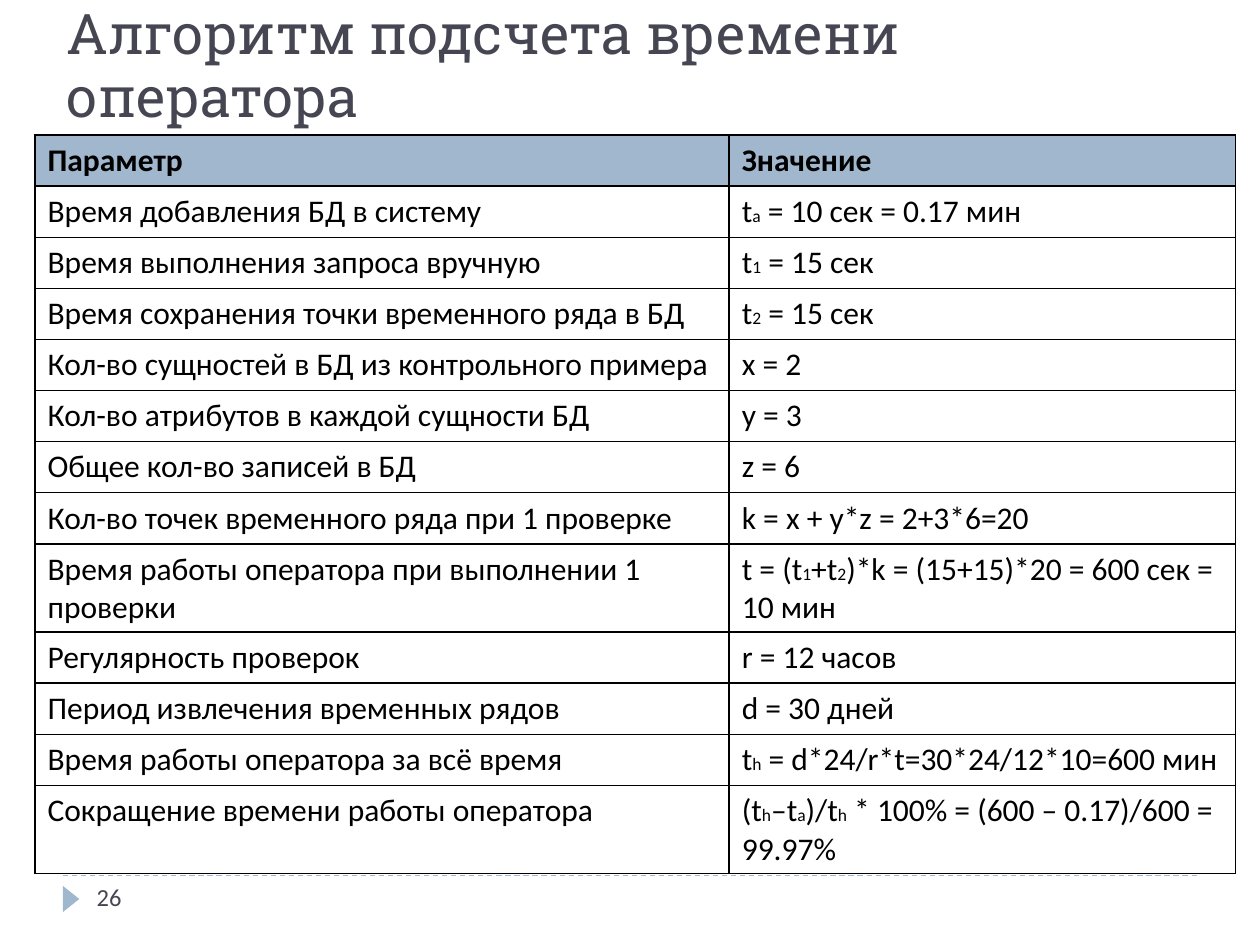
"""Build the slide with the operator time table."""
from lxml import etree
from pptx import Presentation
from pptx.dml.color import RGBColor
from pptx.enum import dml, shapes, text
from pptx.oxml import parse_xml
from pptx.oxml.ns import qn
from pptx.util import Pt

NS = "http://schemas.openxmlformats.org/drawingml/2006/main"


def paint(fill, tint):
    fill.solid()
    fill.fore_color.rgb = RGBColor.from_string(tint)


def write(para, words, size, tint, face="Calibri", bold=False):
    run = para.add_run()
    run.text = words
    run.font.size = Pt(size)
    run.font.name = face
    run.font.bold = bold
    paint(run.font.fill, tint)


deck = Presentation()
deck.slide_width, deck.slide_height = Pt(720), Pt(540)
slide = deck.slides.add_slide(deck.slide_layouts[5])
items = slide.shapes

for top in (500.4, 90):
    rule = items.add_connector(shapes.MSO_CONNECTOR.STRAIGHT, Pt(36), Pt(top), Pt(684), Pt(top))
    paint(rule.line.fill, "9FB8CD")
    rule.line.width = Pt(0.75)
    rule.line.dash_style = dml.MSO_LINE.DASH
    etree.SubElement(rule.element.spPr, qn("a:effectLst"))

mark = items.add_shape(shapes.MSO_SHAPE.ISOSCELES_TRIANGLE, Pt(33.1), Pt(509), Pt(15), Pt(9.4))
mark.rotation = 90
mark.shadow.inherit = False
paint(mark.fill, "9FB8CD")
mark.line.fill.background()

title = items.title
title.left, title.top, title.width, title.height = Pt(31), Pt(0), Pt(648), Pt(77.8)
frame = title.text_frame
frame.auto_size = text.MSO_AUTO_SIZE.NONE
frame.vertical_anchor = text.MSO_ANCHOR.BOTTOM
head = frame.paragraphs[0]
head.alignment = text.PP_ALIGN.LEFT
head.line_spacing = 0.93
write(head, "Алгоритм подсчета времени оператора", 32, "464653", "Roboto Slab")

page = items.add_textbox(Pt(48.2), Pt(500.4), Pt(156), Pt(28.8)).text_frame
page.word_wrap = True
write(page.paragraphs[0], "26", 14, "464653")

# Text between bars is set small, as an index.
rows = [
    ("Параметр", "Значение"),
    ("Время добавления БД в систему", "t|a| = 10 сек = 0.17 мин"),
    ("Время выполнения запроса вручную", "t|1| = 15 сек"),
    ("Время сохранения точки временного ряда в БД", "t|2| = 15 сек"),
    ("Кол-во сущностей в БД из контрольного примера", "x = 2"),
    ("Кол-во атрибутов в каждой сущности БД", "y = 3"),
    ("Общее кол-во записей в БД", "z = 6"),
    ("Кол-во точек временного ряда при 1 проверке", "k = x + y*z = 2+3*6=20"),
    ("Время работы оператора при выполнении 1 проверки",
     "t = (t|1|+t|2|)*k = (15+15)*20 = 600 сек = 10 мин"),
    ("Регулярность проверок", "r = 12 часов"),
    ("Период извлечения временных рядов", "d = 30 дней"),
    ("Время работы оператора за всё время", "t|h| = d*24/r*t=30*24/12*10=600 мин"),
    ("Сокращение времени работы оператора",
     "(t|h|–t|a|)/t|h| * 100% = (600 – 0.17)/600 = 99.97%"),
]
grid = items.add_table(len(rows), 2, Pt(20), Pt(77.2), Pt(686), Pt(29.2 * len(rows))).table
for col, wide in zip(grid.columns, (396.7, 289.3)):
    col.width = Pt(wide)

for i, row in enumerate(rows):
    grid.rows[i].height = Pt(29.2)
    for j, words in enumerate(row):
        cell = grid.cell(i, j)
        para = cell.text_frame.paragraphs[0]
        for n, part in enumerate(words.split("|")):
            write(para, part, 10 if n % 2 else 18, "000000", bold=i == 0)
        props = cell._tc.get_or_add_tcPr()
        for side in ("lnL", "lnR", "lnT", "lnB"):
            props.append(parse_xml(
                f'<a:{side} xmlns:a="{NS}" w="{Pt(1)}"><a:solidFill>'
                f'<a:srgbClr val="000000"/></a:solidFill></a:{side}>'))
        paint(cell.fill, "FFFFFF" if i else "A0B7CD")

deck.save("out.pptx")
